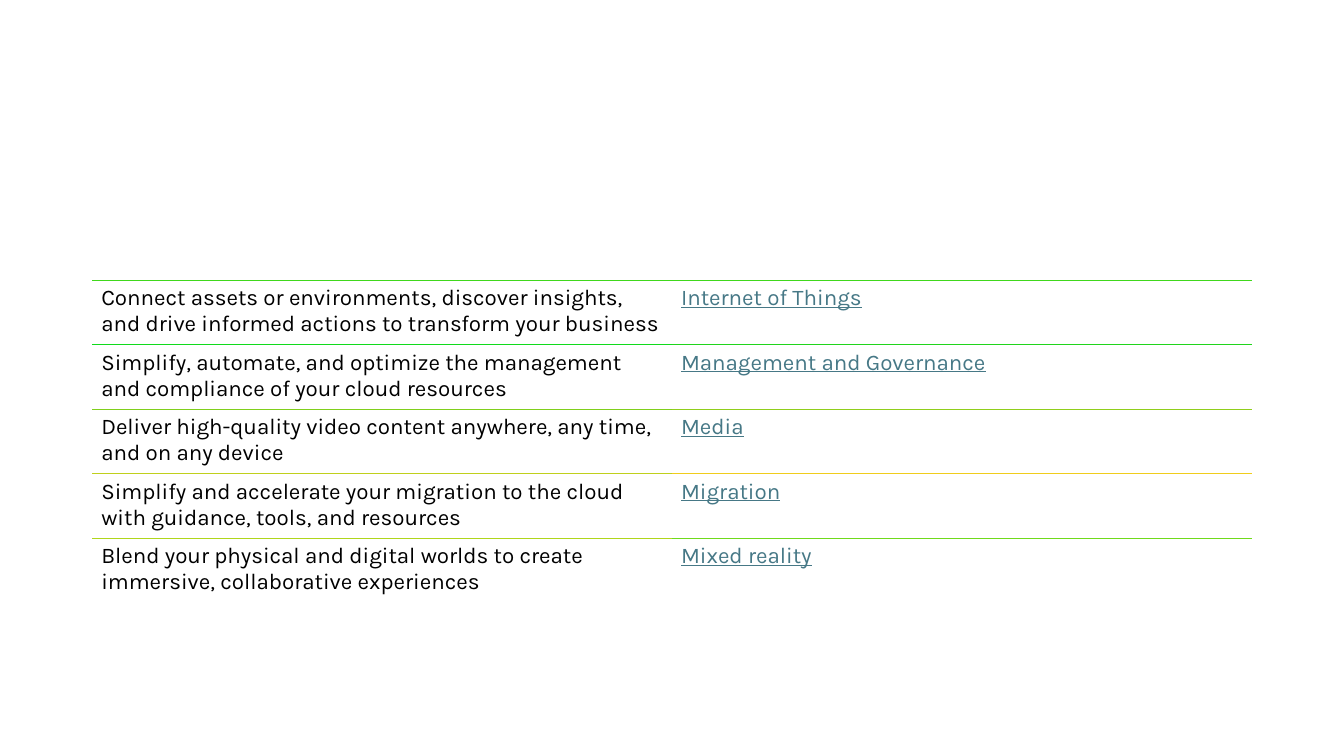
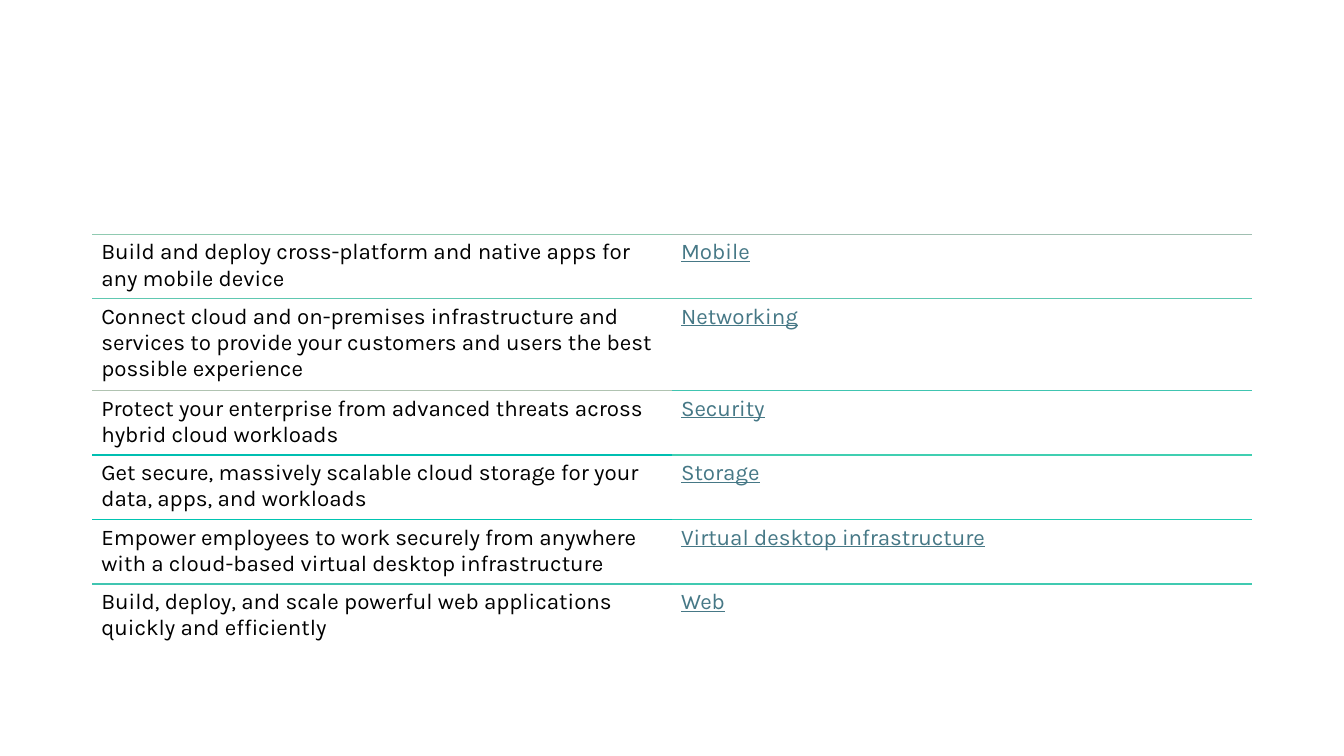
import dataclasses

import pptx
import pptx.dml.color
import pptx.oxml
import pptx.oxml.ns
import pptx.util

Inches = pptx.util.Inches


@dataclasses.dataclass(frozen=True)
class Theme:
    font: str = "Karla"
    size: int = 16
    ink: str = "000000"
    link: str = "467886"
    paper: str = "FFFFFF"
    rule: int = 1


THEME = Theme()

# Grid, in inches: two equal columns, tables centred on one point
WIDE, HIGH = 13.33, 7.5
COL = 5.75
MID = 4.38
PAD_X, PAD_Y = 0.09, 0.05
LINE = 0.27

# Each row: need, solution, lines of text, left and right colour of the rule above
CLOUD = [
    ("Connect assets or environments, discover insights, and drive informed "
     "actions to transform your business",
     "Internet of Things", 2, "40D81C", "40D81C"),
    ("Simplify, automate, and optimize the management and compliance of your "
     "cloud resources",
     "Management and Governance", 2, "10DB1C", "20D51C"),
    ("Deliver high-quality video content anywhere, any time, and on any device",
     "Media", 2, "80CF1C", "90CE1C"),
    ("Simplify and accelerate your migration to the cloud with guidance, tools, "
     "and resources",
     "Migration", 2, "C0D01C", "F0CD1C"),
    ("Blend your physical and digital worlds to create immersive, collaborative "
     "experiences",
     "Mixed reality", 2, "B0D61C", "70DA1C"),
]
APPS = [
    ("Build and deploy cross-platform and native apps for any mobile device",
     "Mobile", 2, "90CAB1", "A0BFB1"),
    ("Connect cloud and on-premises infrastructure and services to provide your "
     "customers and users the best possible experience",
     "Networking", 3, "60C8B1", "60C8B1"),
    ("Protect your enterprise from advanced threats across hybrid cloud workloads",
     "Security", 2, "B0C3B1", "40C5B1"),
    ("Get secure, massively scalable cloud storage for your data, apps, and "
     "workloads",
     "Storage", 2, "00BFB1", "40CFB1"),
    ("Empower employees to work securely from anywhere with a cloud-based "
     "virtual desktop infrastructure",
     "Virtual desktop infrastructure", 2, "00C4B1", "20CCB1"),
    ("Build, deploy, and scale powerful web applications quickly and efficiently",
     "Web", 2, "40C5B1", "40CAB1"),
]


def rgb(code):
    return pptx.dml.color.RGBColor.from_string(code)


def write(frame, text, color=THEME.ink, size=THEME.size, under=False):
    """Put one formatted run of text in a frame."""
    run = frame.paragraphs[0].add_run()
    run.text = text
    font = run.font
    font.name, font.size = THEME.font, pptx.util.Pt(size)
    font.underline = under
    font.color.rgb = rgb(color)


def edge(cell, side, color=None):
    """Draw one side of a cell, or hide it when there is no colour."""
    width = pptx.util.Pt(THEME.rule)
    paint = (f'<a:solidFill><a:srgbClr val="{color}"/></a:solidFill>'
             if color else "<a:noFill/>")
    names = pptx.oxml.ns.nsdecls("a")
    line = pptx.oxml.parse_xml(
        f'<a:ln{side} {names} w="{int(width)}">{paint}</a:ln{side}>')
    cell._tc.get_or_add_tcPr().append(line)


def dress(cell, top, base):
    """Set the margins, borders and fill of a cell."""
    cell.margin_left = cell.margin_right = Inches(PAD_X)
    cell.margin_top = cell.margin_bottom = Inches(PAD_Y)
    for side, color in zip("LRTB", (None, None, top, base)):
        edge(cell, side, color)
    cell.fill.solid()
    cell.fill.fore_color.rgb = rgb(THEME.paper)


def add_grid(slide, rows):
    """Add a centred two-column table of needs and solutions."""
    highs = [2 * PAD_Y + LINE * lines for _, _, lines, _, _ in rows]
    total = sum(highs)
    table = slide.shapes.add_table(
        len(rows), 2, Inches(WIDE / 2 - COL), Inches(MID - total / 2),
        Inches(2 * COL), Inches(total)).table
    table.first_row = table.horz_banding = False
    for col in table.columns:
        col.width = Inches(COL)

    # A rule below a row is the one above the next; the last has none
    rules = [row[3:] for row in rows] + [(None, None)]
    for i, (need, answer, *_) in enumerate(rows):
        table.rows[i].height = Inches(highs[i])
        for j in range(2):
            dress(table.cell(i, j), rules[i][j], rules[i + 1][j])
        write(table.cell(i, 0).text_frame, need)
        write(table.cell(i, 1).text_frame, answer, color=THEME.link, under=True)


def main():
    deck = pptx.Presentation()
    deck.slide_width, deck.slide_height = Inches(WIDE), Inches(HIGH)
    blank = deck.slide_layouts[6]
    for rows in (CLOUD, APPS):
        add_grid(deck.slides.add_slide(blank), rows)
    deck.save("out.pptx")


if __name__ == "__main__":
    main()
